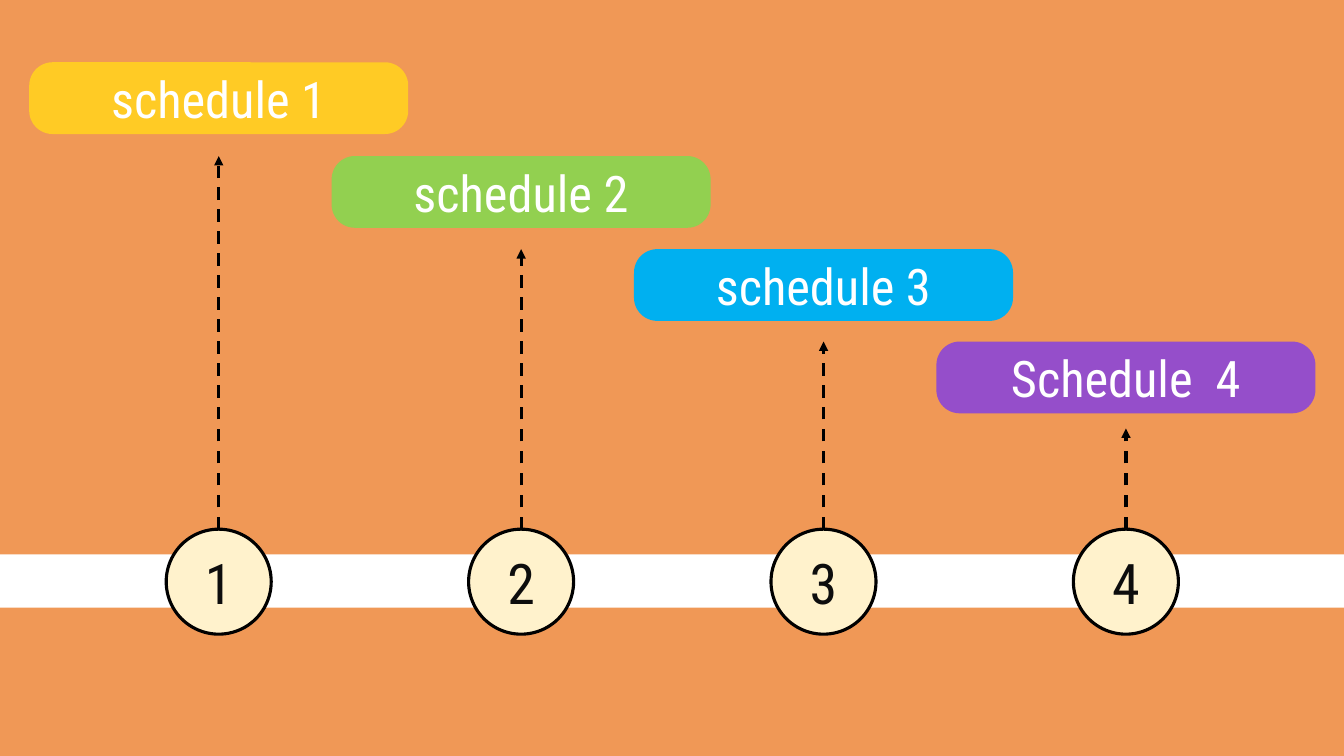
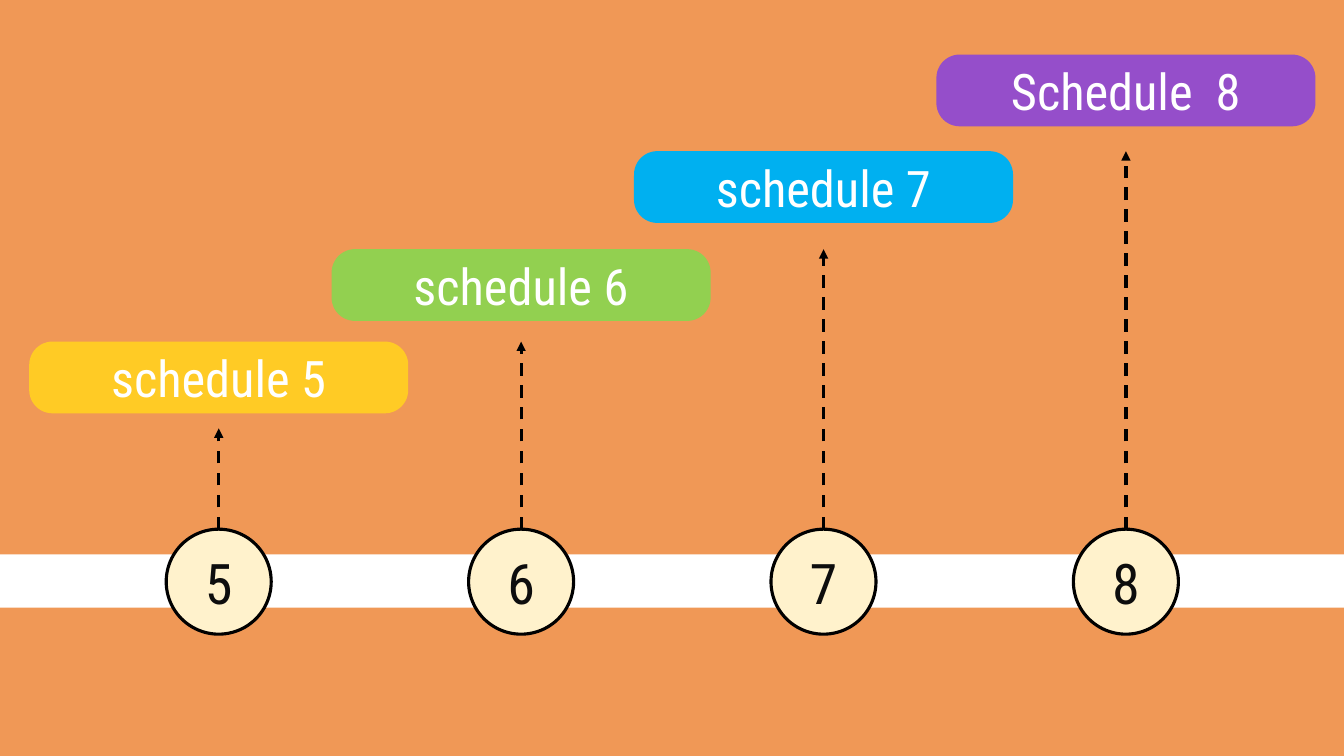
from pptx import Presentation
from pptx.dml.color import RGBColor
from pptx.enum.dml import MSO_LINE
from pptx.enum.shapes import MSO_CONNECTOR, MSO_SHAPE
from pptx.enum.text import MSO_ANCHOR, PP_ALIGN
from pptx.oxml.ns import qn
from pptx.util import Pt
from lxml.etree import SubElement

ORANGE = RGBColor(0xF0, 0x98, 0x56)
WHITE = RGBColor(0xFF, 0xFF, 0xFF)
BLACK = RGBColor(0x00, 0x00, 0x00)
INK = RGBColor(0x0D, 0x0D, 0x0D)
CREAM = RGBColor(0xFF, 0xF2, 0xCC)
YELLOW = RGBColor(0xFF, 0xCB, 0x25)
GREEN = RGBColor(0x92, 0xD0, 0x50)
BLUE = RGBColor(0x00, 0xB0, 0xF0)
PURPLE = RGBColor(0x95, 0x4E, 0xCA)
HUES = [YELLOW, GREEN, BLUE, PURPLE]

WIDTH, HEIGHT = 960, 540
FIRST, STEP = 156.25, 216  # centre of the first column, column pitch
BAND_TOP, BAND_HIGH = 396, 38
DOT_TOP, DOT_SIZE = 378, 75
PILL_WIDE, PILL_HIGH = 270.75, 51.25
LOW_TIP = 306  # arrow tip below the lowest pill
STROKE = 2.25

LABEL = {"name": "Roboto Condensed", "size": Pt(36)}
NUMBER = {"name": "Roboto Condensed", "size": Pt(40)}

# Labels and pill tops, from left to right
SLIDES = [
    (1, ["schedule 1", "schedule 2", "schedule 3", "Schedule  4"],
     [44.5, 111.5, 178, 244]),
    (5, ["schedule 5", "schedule 6", "schedule 7", "Schedule  8"],
     [244, 178, 108, 39]),
]


def add_block(slide, kind, left, top, wide, high, fill):
    block = slide.shapes.add_shape(kind, Pt(left), Pt(top), Pt(wide), Pt(high))
    block.shadow.inherit = False
    block.fill.solid()
    block.fill.fore_color.rgb = fill
    block.line.fill.background()
    return block


def add_text(block, text, style, color):
    frame = block.text_frame
    frame.word_wrap = True
    frame.vertical_anchor = MSO_ANCHOR.MIDDLE
    para = frame.paragraphs[0]
    para.alignment = PP_ALIGN.CENTER
    run = para.add_run()
    run.text = text
    for key, value in style.items():
        setattr(run.font, key, value)
    run.font.color.rgb = color


def draw_line(line):
    line.color.rgb = BLACK
    line.width = Pt(STROKE)


def add_dot(slide, mid, number):
    dot = add_block(slide, MSO_SHAPE.OVAL, mid - DOT_SIZE / 2, DOT_TOP,
                    DOT_SIZE, DOT_SIZE, CREAM)
    draw_line(dot.line)
    add_text(dot, str(number), NUMBER, INK)
    return dot


def add_arrow(slide, dot, mid, tip):
    """Dashed arrow from the top of a dot up to the tip."""
    arrow = slide.shapes.add_connector(
        MSO_CONNECTOR.STRAIGHT, Pt(mid), Pt(DOT_TOP), Pt(mid), Pt(tip))
    arrow.begin_connect(dot, 0)
    draw_line(arrow.line)
    arrow.line.dash_style = MSO_LINE.DASH
    props = arrow._element.spPr
    SubElement(props.find(qn("a:ln")), qn("a:tailEnd"), type="triangle")
    SubElement(props, qn("a:effectLst"))


def add_pill(slide, mid, top, text, hue):
    pill = add_block(slide, MSO_SHAPE.ROUNDED_RECTANGLE, mid - PILL_WIDE / 2,
                     top, PILL_WIDE, PILL_HIGH, hue)
    pill.adjustments[0] = 0.325
    add_text(pill, text, LABEL, WHITE)


def find_tip(top, tops):
    """An arrow ends level with the top of the next lower pill."""
    return min((y for y in tops if y > top), default=LOW_TIP)


def add_steps(deck, start, labels, tops):
    slide = deck.slides.add_slide(deck.slide_layouts[6])
    add_block(slide, MSO_SHAPE.RECTANGLE, 0, BAND_TOP, WIDTH, BAND_HIGH, WHITE)
    for col, (text, top, hue) in enumerate(zip(labels, tops, HUES)):
        mid = FIRST + col * STEP
        dot = add_dot(slide, mid, start + col)
        add_arrow(slide, dot, mid, find_tip(top, tops))
        add_pill(slide, mid, top, text, hue)


def main():
    deck = Presentation()
    deck.slide_width, deck.slide_height = Pt(WIDTH), Pt(HEIGHT)
    back = deck.slide_master.background.fill
    back.solid()
    back.fore_color.rgb = ORANGE
    for start, labels, tops in SLIDES:
        add_steps(deck, start, labels, tops)
    deck.save("out.pptx")


if __name__ == "__main__":
    main()
